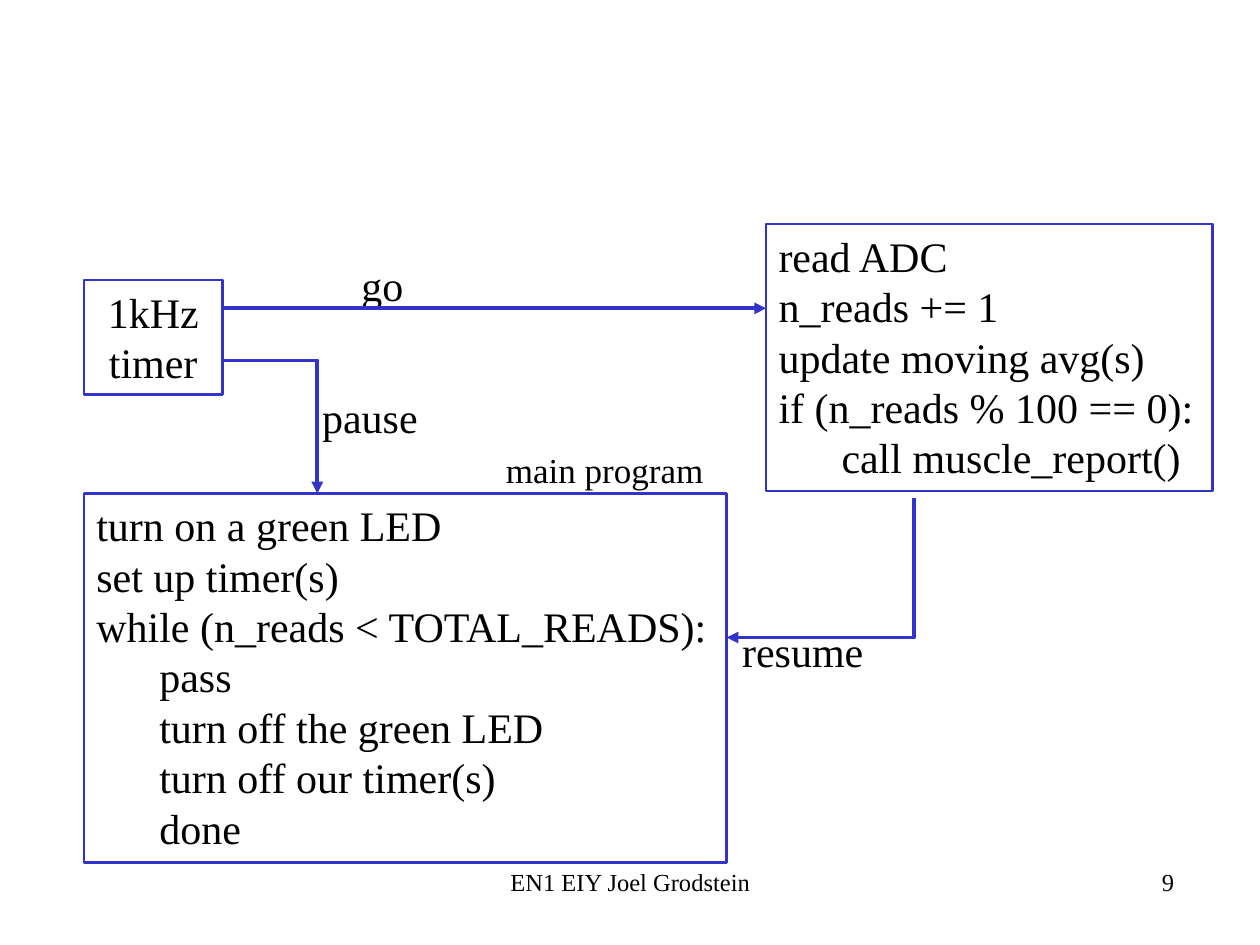
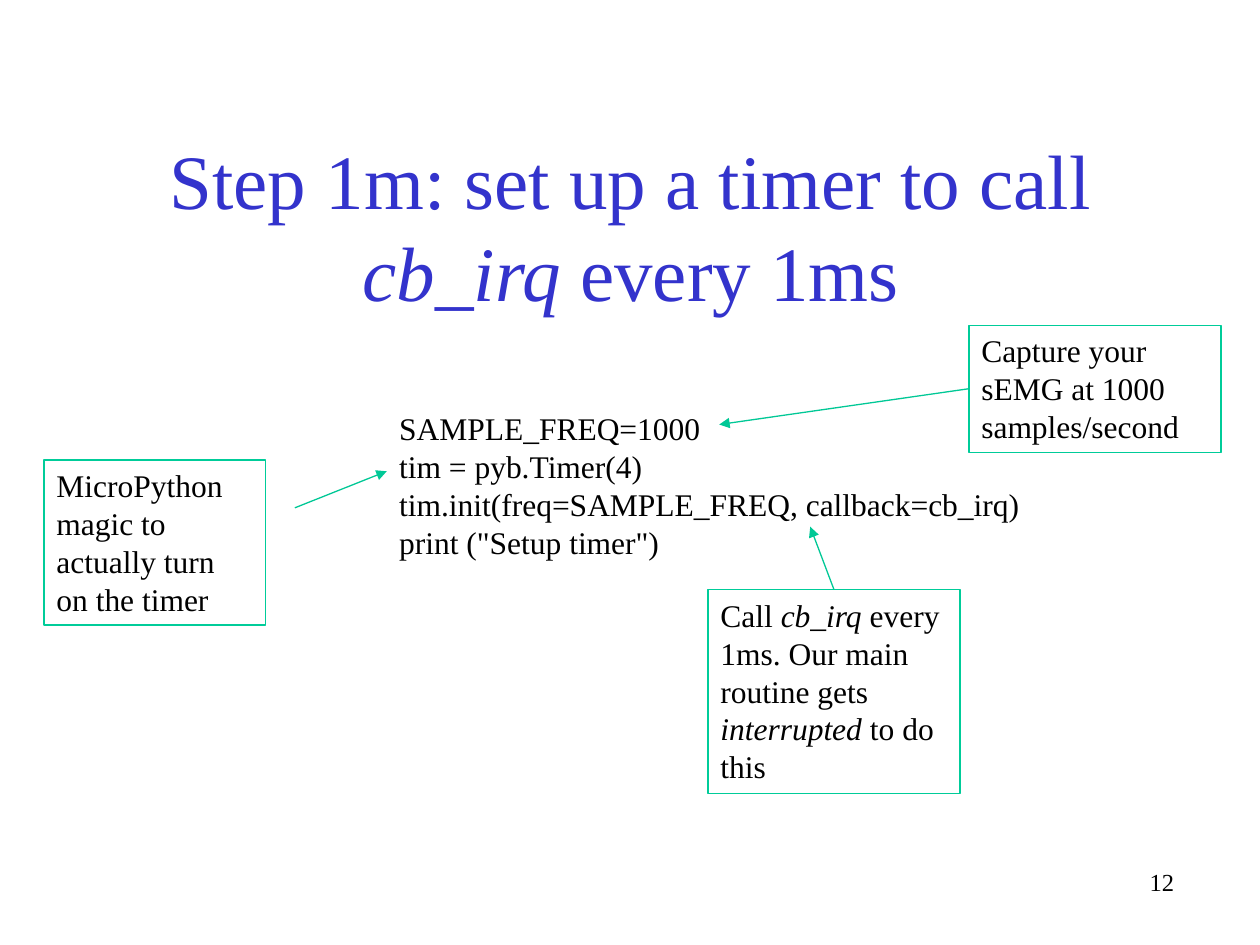
from dataclasses import dataclass

from lxml import etree
from pptx import Presentation
from pptx.dml.color import RGBColor
from pptx.enum.shapes import MSO_CONNECTOR, MSO_SHAPE
from pptx.enum.text import MSO_ANCHOR, MSO_AUTO_SIZE, PP_ALIGN
from pptx.oxml.ns import qn
from pptx.util import Pt

LEFT, CENTER, RIGHT = PP_ALIGN.LEFT, PP_ALIGN.CENTER, PP_ALIGN.RIGHT
MIDDLE, TOP = MSO_ANCHOR.MIDDLE, MSO_ANCHOR.TOP
NO_AUTOFIT = MSO_AUTO_SIZE.NONE
STRAIGHT, ELBOW = MSO_CONNECTOR.STRAIGHT, MSO_CONNECTOR.ELBOW
RECTANGLE = MSO_SHAPE.RECTANGLE
TOP_SIDE, LEFT_SIDE = 0, 1
TITLE_ONLY, BLANK = 5, 6

FONT = "Times New Roman"
COLORS = {"text": "000000", "flow": "3333CC", "note": "00CC99", "pointer": "00C896"}
INDENT = Pt(36)


@dataclass
class Block:
    """Text with an optional outline; *stars* mark italic words."""
    left: float
    top: float
    width: float
    height: float
    lines: list[str]
    size: float
    align: PP_ALIGN = LEFT
    line_color: str = ""
    line_width: float = 0
    indented: int = 0  # how many of the last lines are indented


@dataclass
class Arrow:
    start: tuple[float, float]
    end: tuple[float, float]
    color: str
    width: float
    kind: MSO_CONNECTOR = STRAIGHT
    head: str = "tailEnd"


def rgb(name: str) -> RGBColor:
    return RGBColor.from_string(COLORS[name])


def write(tf, lines: list[str], size: float, color: str = "text",
          align: PP_ALIGN = LEFT, indented: int = 0) -> None:
    tf.word_wrap = True
    tf.auto_size = NO_AUTOFIT
    for i, line in enumerate(lines):
        p = tf.add_paragraph() if i else tf.paragraphs[0]
        p.alignment = align
        if i >= len(lines) - indented:
            p.level = 1
            p._p.get_or_add_pPr().set("marL", str(int(INDENT)))
        p.font.name = FONT
        p.font.size = Pt(size)
        p.font.color.rgb = rgb(color)
        for j, part in enumerate(line.split("*")):
            if part:
                r = p.add_run()
                r.text = part
                if j % 2:
                    r.font.italic = True


def add_block(slide, b: Block):
    place = [Pt(v) for v in (b.left, b.top, b.width, b.height)]
    if b.line_color:
        sp = slide.shapes.add_shape(RECTANGLE, *place)
        sp.shadow.inherit = False
        sp.fill.background()
        sp.line.color.rgb = rgb(b.line_color)
        sp.line.width = Pt(b.line_width)
    else:
        sp = slide.shapes.add_textbox(*place)
    sp.text_frame.vertical_anchor = TOP
    write(sp.text_frame, b.lines, b.size, align=b.align, indented=b.indented)
    return sp


def add_arrow(slide, a: Arrow):
    """Draw an arrow; an elbow runs across first and then up or down."""
    c = slide.shapes.add_connector(a.kind, *(Pt(v) for v in a.start + a.end))
    c.line.color.rgb = rgb(a.color)
    c.line.width = Pt(a.width)
    sp_pr = c._element.spPr
    if a.kind == ELBOW:
        sp_pr.find(qn("a:prstGeom")).set("prst", "bentConnector2")
    etree.SubElement(sp_pr.find(qn("a:ln")), qn(f"a:{a.head}"), type="triangle")
    etree.SubElement(sp_pr, qn("a:effectLst"))
    return c


def add_page_number(slide, number: int) -> None:
    add_block(slide, Block(450, 492, 228, 36, [str(number)], 14, RIGHT))


def flow_box(left: float, top: float, width: float, height: float,
             lines: list[str], align: PP_ALIGN = LEFT, indented: int = 0) -> Block:
    return Block(left, top, width, height, lines, 24, align, "flow", 1.5, indented)


def note_box(left: float, top: float, width: float, height: float, text: str) -> Block:
    return Block(left, top, width, height, [text], 18, LEFT, "note", 0.75)


def pointer(start: tuple[float, float], end: tuple[float, float]) -> Arrow:
    return Arrow(start, end, "pointer", 0.75)


def build_flow_slide(prs) -> None:
    slide = prs.slides.add_slide(prs.slide_layouts[BLANK])
    add_page_number(slide, 9)
    timer = flow_box(48, 160, 79.2, 65.4, ["1kHz timer"], CENTER)
    main_program = flow_box(48, 282, 367.2, 211, [
        "turn on a green LED",
        "set up timer(s)",
        "while (n_reads < TOTAL_READS):",
        "pass",
        "turn off the green LED",
        "turn off our timer(s)",
        "done",
    ], indented=4)
    callback = flow_box(437.8, 128, 255, 152.6, [
        "read ADC",
        "n_reads += 1",
        "update moving avg(s)",
        "if (n_reads % 100 == 0):",
        "call muscle_report()",
    ], indented=1)
    labels = [
        Block(246.2, 492, 228, 24.5, ["EN1 EIY Joel Grodstein"], 14, CENTER),
        Block(282, 252.7, 132, 31.7, ["main program"], 20),
        Block(177, 220.3, 77, 36, ["pause"], 24),
        Block(199.4, 144.7, 54.7, 36, ["go"], 24),
        Block(417, 354.2, 88, 36, ["resume"], 24),
    ]
    for b in [timer, main_program, callback, *labels]:
        add_block(slide, b)
    timer_right = timer.left + timer.width
    main_right = main_program.left + main_program.width
    for a in [
        Arrow((timer_right, 176.2), (callback.left, 176.2), "flow", 2.25),
        Arrow((timer_right, 206), (181.3, main_program.top), "flow", 2.25, ELBOW),
        Arrow((main_right, 364.3), (522.2, 284.4), "flow", 2.25, ELBOW, "headEnd"),
    ]:
        add_arrow(slide, a)


def build_timer_slide(prs) -> None:
    slide = prs.slides.add_slide(prs.slide_layouts[TITLE_ONLY])
    add_page_number(slide, 12)
    title = slide.shapes.title
    title.left, title.top, title.width, title.height = Pt(39), Pt(89.3), Pt(643), Pt(78.5)
    title.text_frame.vertical_anchor = MIDDLE
    write(title.text_frame, ["Step 1m: set up a timer to call *cb_irq* every 1ms"],
          44, "flow", CENTER)
    add_block(slide, Block(221, 230.4, 373, 94.3, [
        "SAMPLE_FREQ=1000",
        "tim = pyb.Timer(4)",
        "tim.init(freq=SAMPLE_FREQ, callback=cb_irq)",
        'print ("Setup timer")',
    ], 18))
    rate = add_block(slide, note_box(
        553.7, 185.8, 144, 72.7, "Capture your sEMG at 1000 samples/second"))
    add_block(slide, note_box(
        25.2, 262.8, 126.7, 94.3, "MicroPython magic to actually turn on the timer"))
    interrupt = add_block(slide, note_box(
        404.6, 337, 144, 116.4,
        "Call *cb_irq* every 1ms. Our main routine gets *interrupted* to do this"))
    add_arrow(slide, pointer((553.7, 222.2), (411, 242.6))).begin_connect(rate, LEFT_SIDE)
    add_arrow(slide, pointer((168.5, 290.2), (221, 269.3)))
    add_arrow(slide, pointer((476.6, 337), (463, 301))).begin_connect(interrupt, TOP_SIDE)


def main() -> None:
    prs = Presentation()
    prs.slide_width, prs.slide_height = Pt(720), Pt(540)
    build_flow_slide(prs)
    build_timer_slide(prs)
    prs.save("out.pptx")


if __name__ == "__main__":
    main()
